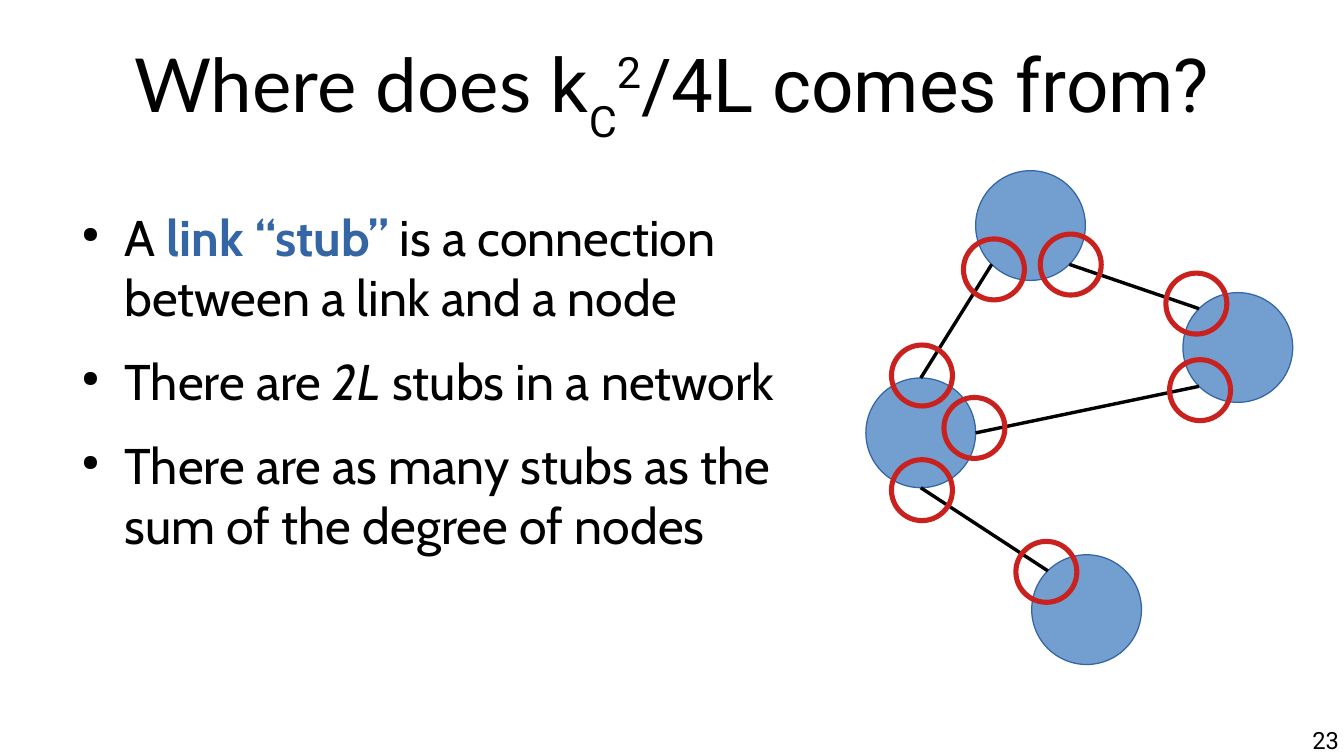
from dataclasses import dataclass
from enum import Enum
from math import cos, radians, sin

from lxml.etree import SubElement
from pptx import Presentation
from pptx.dml.color import RGBColor
from pptx.enum.shapes import MSO_CONNECTOR, MSO_SHAPE
from pptx.enum.text import MSO_ANCHOR as Anchor, PP_ALIGN as Align
from pptx.oxml.ns import qn
from pptx.util import Emu, Inches, Pt

CELL = Inches(0.1)  # side of one square of the layout grid
COLUMNS, ROWS = 110.2, 62
NODE_SIZE, STUB_SIZE = 9, 5


@dataclass(frozen=True)
class Theme:
    text: RGBColor = RGBColor(0x00, 0x00, 0x00)
    accent: RGBColor = RGBColor(0x34, 0x65, 0xA4)
    node: RGBColor = RGBColor(0x72, 0x9F, 0xCF)
    stub: RGBColor = RGBColor(0xC9, 0x21, 0x1E)
    title_font: str = "Lato"
    formula_font: str = "Roboto"
    body_font: str = "Cabin"
    title_size: float = 44
    body_size: float = 29.6
    number_size: float = 14
    hairline: float = 0
    stub_line: float = 3
    point_gap: float = 14.1


THEME = Theme()


class Side(Enum):
    """Angle, clockwise from the right, at which a link meets its node."""
    EAST = 0
    SOUTH_EAST = 45
    SOUTH = 90
    SOUTH_WEST = 135
    NORTH_WEST = 225
    NORTH = 270


@dataclass(frozen=True)
class Point:
    column: float
    row: float


@dataclass(frozen=True)
class Area:
    column: float
    row: float
    columns: float
    rows: float


@dataclass(frozen=True)
class Link:
    start: Point
    start_side: Side
    end: Point
    end_side: Side


@dataclass(frozen=True)
class Span:
    text: str
    font: str = THEME.body_font
    color: RGBColor = THEME.text
    bold: bool = False
    italic: bool = False
    baseline: int = 0


TITLE = [
    Span("Where does ", THEME.title_font),
    Span("k", THEME.formula_font),
    Span("C", THEME.formula_font, baseline=-33),
    Span("2", THEME.formula_font, baseline=33),
    Span("/4L comes from?", THEME.formula_font),
]
POINTS = [
    [Span("A "), Span("link “stub”", color=THEME.accent, bold=True),
     Span(" is a connection between a link and a node")],
    [Span("There are "), Span("2L", italic=True), Span(" stubs in a network")],
    [Span("There are as many stubs as the sum of the degree of nodes")],
]
PAGE_NUMBER = [Span("23", THEME.formula_font)]

# Centres of the nodes and of the rings around their stubs
TOP, LEFT, BOTTOM, RIGHT = NODES = [
    Point(84.5, 18.5), Point(75.5, 35.5), Point(89.1, 50), Point(101.5, 28.5)]
LINKS = [
    Link(TOP, Side.SOUTH_EAST, RIGHT, Side.NORTH_WEST),
    Link(TOP, Side.SOUTH_WEST, LEFT, Side.NORTH),
    Link(LEFT, Side.EAST, RIGHT, Side.SOUTH_WEST),
    Link(LEFT, Side.SOUTH, BOTTOM, Side.NORTH_WEST),
]
STUBS = [
    Point(81.5, 22.1), Point(75.6, 30.8), Point(79.9, 35.1), Point(75.6, 40.2),
    Point(87.8, 21.7), Point(98.1, 24.9), Point(98.4, 32), Point(85.8, 46.9)]


def cells(count: float) -> Emu:
    return Emu(round(count * CELL))


def add_text(slide, area: Area, lines: list[list[Span]], size: float,
             align: Align = Align.LEFT, anchor: Anchor = Anchor.TOP,
             bulleted: bool = False) -> None:
    frame = slide.shapes.add_textbox(
        cells(area.column), cells(area.row),
        cells(area.columns), cells(area.rows)).text_frame
    frame.word_wrap = True
    frame.vertical_anchor = anchor
    frame.margin_left = frame.margin_right = 0
    frame.margin_top = frame.margin_bottom = 0
    for index, spans in enumerate(lines):
        paragraph = frame.add_paragraph() if index else frame.paragraphs[0]
        paragraph.alignment = align
        if index:
            paragraph.space_before = Pt(THEME.point_gap)
        if bulleted:
            add_bullet(paragraph)
        for span in spans:
            add_span(paragraph, span, size)


def add_bullet(paragraph) -> None:
    properties = paragraph._p.get_or_add_pPr()
    properties.set("marL", str(cells(4.7)))
    properties.set("indent", str(-cells(3.5)))
    color = SubElement(properties, qn("a:buClr"))
    SubElement(color, qn("a:srgbClr"), val=str(THEME.text))
    SubElement(properties, qn("a:buSzPct"), val="45000")
    SubElement(properties, qn("a:buChar"), char="●")


def add_span(paragraph, span: Span, size: float) -> None:
    run = paragraph.add_run()
    run.text = span.text
    run.font.name = span.font
    run.font.size = Pt(size)
    run.font.color.rgb = span.color
    run.font.bold = span.bold
    run.font.italic = span.italic
    if span.baseline:
        run.font._element.set("baseline", str(span.baseline * 1000))


def add_circle(slide, center: Point, size: float, line: RGBColor,
               width: float, fill: RGBColor | None = None) -> None:
    circle = slide.shapes.add_shape(
        MSO_SHAPE.OVAL, cells(center.column - size / 2),
        cells(center.row - size / 2), cells(size), cells(size))
    circle.shadow.inherit = False
    circle.line.color.rgb = line
    circle.line.width = Pt(width)
    if fill is None:
        circle.fill.background()
    else:
        circle.fill.solid()
        circle.fill.fore_color.rgb = fill


def rim(node: Point, side: Side) -> tuple[Emu, Emu]:
    """Return the place on a node's edge where a link meets it."""
    angle, radius = radians(side.value), NODE_SIZE / 2
    return (cells(node.column + radius * cos(angle)),
            cells(node.row + radius * sin(angle)))


def add_link(slide, link: Link) -> None:
    connector = slide.shapes.add_connector(
        MSO_CONNECTOR.STRAIGHT, *rim(link.start, link.start_side),
        *rim(link.end, link.end_side))
    connector.line.color.rgb = THEME.text
    connector.line.width = Pt(THEME.hairline)
    SubElement(connector._element.spPr, qn("a:effectLst"))


def main() -> None:
    deck = Presentation()
    deck.slide_width, deck.slide_height = cells(COLUMNS), cells(ROWS)
    slide = deck.slides.add_slide(deck.slide_layouts[6])
    add_text(slide, Area(5.5, 0.1, 99.2, 14.9), [TITLE], THEME.title_size,
             Align.CENTER, Anchor.MIDDLE)
    add_text(slide, Area(5.5, 16.9, 58.5, 41.1), POINTS, THEME.body_size,
             bulleted=True)
    for node in NODES:
        add_circle(slide, node, NODE_SIZE, THEME.accent, THEME.hairline,
                   THEME.node)
    for link in LINKS:
        add_link(slide, link)
    for stub in STUBS:
        add_circle(slide, stub, STUB_SIZE, THEME.stub, THEME.stub_line)
    add_text(slide, Area(84.1, 59.5, 25.7, 2.5), [PAGE_NUMBER],
             THEME.number_size, Align.RIGHT)
    deck.save("out.pptx")


if __name__ == "__main__":
    main()
